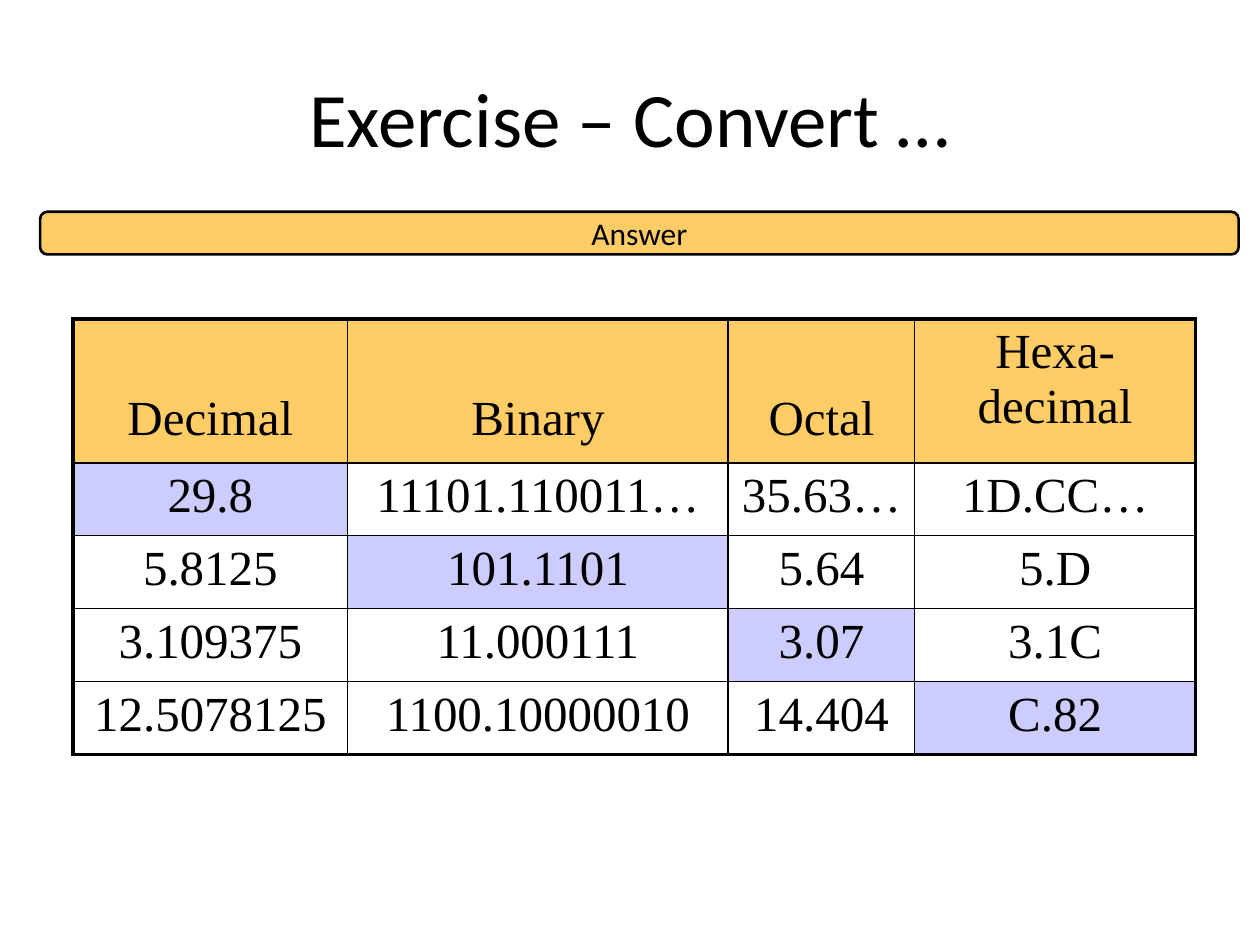
from dataclasses import dataclass

from lxml.etree import SubElement
from pptx import Presentation
from pptx.dml.color import RGBColor as RGB
from pptx.enum.shapes import MSO_SHAPE as Shape
from pptx.enum.text import MSO_ANCHOR as Anchor, PP_ALIGN as Align
from pptx.oxml.ns import qn
from pptx.util import Cm, Pt


@dataclass(frozen=True)
class Theme:
    """Colours, fonts and type sizes of the slide."""
    ink: str = "000000"
    amber: str = "FFCC66"
    lilac: str = "CCCCFF"
    sans: str = "Calibri"
    serif: str = "Times New Roman"
    title: int = 44
    label: int = 18
    cell: int = 28
    outer: float = 2.25
    inner: float = 1
    frame: float = 1.5


@dataclass(frozen=True)
class Box:
    """A rectangle in centimetres."""
    left: float
    top: float
    width: float
    height: float

    def lengths(self) -> tuple:
        """Return the rectangle as slide lengths."""
        return tuple(map(Cm, (self.left, self.top, self.width, self.height)))


@dataclass(frozen=True)
class Conversion:
    """One number in four bases, with the column that is given."""
    values: tuple
    given: int


THEME = Theme()
TITLE = Box(1.27, 0.76, 22.86, 3.18)
BANNER = Box(0.81, 4.27, 24.16, 0.86)
TABLE = Box(1.47, 6.43, 22.63, 8.78)
COLUMNS = (5.54, 7.67, 3.76, 5.66)
HEADER_HEIGHT, ROW_HEIGHT = 2.9, 1.47
HEADINGS = ("Decimal", "Binary", "Octal", "Hexa-\ndecimal")
CONVERSIONS = (
    Conversion(("29.8", "11101.110011…", "35.63…", "1D.CC…"), 0),
    Conversion(("5.8125", "101.1101", "5.64", "5.D"), 1),
    Conversion(("3.109375", "11.000111", "3.07", "3.1C"), 2),
    Conversion(("12.5078125", "1100.10000010", "14.404", "C.82"), 3),
)


def write(tf, text: str, *, size: int, font: str, color: str = THEME.ink) -> None:
    """Write centred text into a text frame."""
    p = tf.paragraphs[0]
    p.text = text
    p.alignment = Align.CENTER
    for r in p.runs:
        r.font.size = Pt(size)
        r.font.name = font
        r.font.color.rgb = RGB.from_string(color)


def set_border(cell, side: str, width: float) -> None:
    """Draw one solid border of a cell."""
    line = SubElement(cell._tc.get_or_add_tcPr(), qn(f"a:ln{side}"), w=str(Pt(width)))
    fill = SubElement(line, qn("a:solidFill"))
    SubElement(fill, qn("a:srgbClr"), val=THEME.ink)


def fill_cell(cell, color: str | None) -> None:
    """Fill a cell, or leave it clear."""
    if color:
        cell.fill.solid()
        cell.fill.fore_color.rgb = RGB.from_string(color)
    else:
        cell.fill.background()


def add_title(s, text: str) -> None:
    """Place and write the slide title."""
    sp = s.shapes.title
    sp.left, sp.top, sp.width, sp.height = TITLE.lengths()
    sp.text_frame.vertical_anchor = Anchor.MIDDLE
    write(sp.text_frame, text, size=THEME.title, font=THEME.sans)


def add_banner(s, text: str) -> None:
    """Draw the rounded banner under the title."""
    sp = s.shapes.add_shape(Shape.ROUNDED_RECTANGLE, *BANNER.lengths())
    sp.shadow.inherit = False
    sp.fill.solid()
    sp.fill.fore_color.rgb = RGB.from_string(THEME.amber)
    sp.line.color.rgb = RGB.from_string(THEME.ink)
    sp.line.width = Pt(THEME.frame)
    tf = sp.text_frame
    tf.margin_top = tf.margin_bottom = 0
    tf.vertical_anchor = Anchor.MIDDLE
    write(tf, text, size=THEME.label, font=THEME.sans)


def add_conversions(s) -> None:
    """Draw the conversion table."""
    rows, cols = len(CONVERSIONS) + 1, len(COLUMNS)
    table = s.shapes.add_table(rows, cols, *TABLE.lengths()).table
    table.first_row = table.horz_banding = False
    for column, width in zip(table.columns, COLUMNS):
        column.width = Cm(width)
    for i, row in enumerate(table.rows):
        row.height = Cm(ROW_HEIGHT if i else HEADER_HEIGHT)
        values = CONVERSIONS[i - 1].values if i else HEADINGS
        for j, (cell, text) in enumerate(zip(row.cells, values)):
            write(cell.text_frame, text, size=THEME.cell, font=THEME.serif)
            edges = {"L": j == 0, "R": j == cols - 1, "T": i == 0, "B": i == rows - 1}
            for side, outside in edges.items():
                set_border(cell, side, THEME.outer if outside else THEME.inner)
            if i == 0:
                fill_cell(cell, THEME.amber)
                if "\n" not in text:
                    cell.vertical_anchor = Anchor.BOTTOM
                    cell.margin_bottom = Cm(0.34)
            else:
                fill_cell(cell, THEME.lilac if CONVERSIONS[i - 1].given == j else None)


def main() -> None:
    """Build and save the slide."""
    prs = Presentation()
    prs.slide_width, prs.slide_height = Cm(25.4), Cm(19.05)
    s = prs.slides.add_slide(prs.slide_layouts[5])
    add_title(s, "Exercise – Convert …")
    add_banner(s, "Answer")
    add_conversions(s)
    prs.save("out.pptx")


if __name__ == "__main__":
    main()
